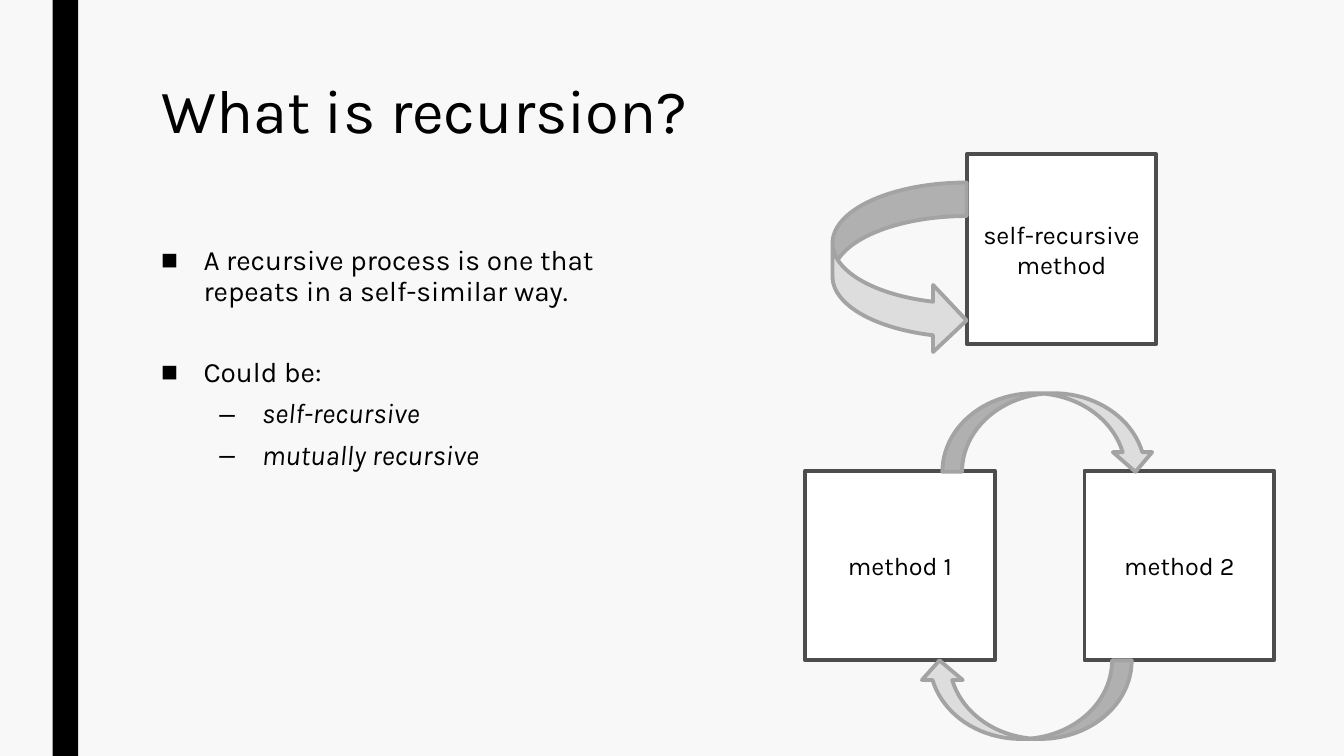
from collections import namedtuple

from lxml import etree
from pptx import Presentation
from pptx.dml.color import RGBColor
from pptx.enum.shapes import MSO_SHAPE as Shape
from pptx.enum.text import MSO_ANCHOR as Anchor, PP_ALIGN as Align
from pptx.oxml.ns import qn
from pptx.util import Cm, Pt

BLACK = RGBColor(0x00, 0x00, 0x00)
WHITE = RGBColor(0xFF, 0xFF, 0xFF)
PAPER = RGBColor(0xF8, 0xF8, 0xF8)
SQUARE_LINE = RGBColor(0x4D, 0x4D, 0x4D)
ARROW_FILL = RGBColor(0xDD, 0xDD, 0xDD)
ARROW_LINE = RGBColor(0xA3, 0xA3, 0xA3)

FONT = "Karla"
SQUARE_SIDE = 4.78
LOOP_WIDTH, LOOP_HEIGHT = 3.38, 4.32
ARC_WIDTH, ARC_HEIGHT = 5.36, 1.98

Box = namedtuple("Box", "left top width height")
Level = namedtuple("Level", "bullet margin before italic")

POINT = Level("■", 1.07, 10, False)
SUBPOINT = Level("–", 2.54, 5, True)
HANGING = 1.07
BULLETS = [
    ("A recursive process is one that repeats in a self-similar way.", POINT, 25),
    ("Could be:", POINT, 2),
    ("self-recursive", SUBPOINT, 2),
    ("mutually recursive", SUBPOINT, 2),
]


def to_lengths(box):
    """Return the four measures of a box as Cm lengths."""
    return [Cm(value) for value in box]


def add_run(paragraph, text, size, italic=False):
    """Add one run in the slide's font and text colour."""
    run = paragraph.add_run()
    run.text = text
    run.font.name = FONT
    run.font.size = Pt(size)
    run.font.italic = italic
    run.font.color.rgb = BLACK


def add_filled_shape(slide, kind, box, fill, line=None):
    """Add a flat shape with a plain fill and an optional outline."""
    shape = slide.shapes.add_shape(kind, *to_lengths(box))
    shape.shadow.inherit = False
    shape.fill.solid()
    shape.fill.fore_color.rgb = fill
    if line is None:
        shape.line.fill.background()
    else:
        shape.line.color.rgb = line
        shape.line.width = Pt(2.75)
    return shape


def add_text_frame(slide, box):
    """Add a wrapping text box and return its text frame."""
    frame = slide.shapes.add_textbox(*to_lengths(box)).text_frame
    frame.word_wrap = True
    return frame


def set_bullet(paragraph, level):
    """Give a paragraph its bullet sign and hanging indent."""
    properties = paragraph._p.get_or_add_pPr()
    properties.set("marL", str(Cm(level.margin)))
    properties.set("indent", str(-Cm(HANGING)))
    etree.SubElement(properties, qn("a:buFont")).set("typeface", "Arial")
    etree.SubElement(properties, qn("a:buChar")).set("char", level.bullet)


def add_title(slide, box):
    """Write the slide title at the top of its box."""
    paragraph = add_text_frame(slide, box).paragraphs[0]
    paragraph.line_spacing = 0.89
    add_run(paragraph, "What is recursion?", 44)


def add_bullets(slide, box):
    """Write the two-level bullet list."""
    frame = add_text_frame(slide, box)
    for index, (text, level, after) in enumerate(BULLETS):
        paragraph = frame.add_paragraph() if index else frame.paragraphs[0]
        paragraph.level = int(level is SUBPOINT)
        paragraph.line_spacing = 0.94
        paragraph.space_before = Pt(level.before)
        paragraph.space_after = Pt(after)
        set_bullet(paragraph, level)
        add_run(paragraph, text, 20, level.italic)


def add_method(slide, left, top, name):
    """Add a square that stands for one method."""
    box = Box(left, top, SQUARE_SIDE, SQUARE_SIDE)
    square = add_filled_shape(slide, Shape.RECTANGLE, box, WHITE, SQUARE_LINE)
    frame = square.text_frame
    frame.word_wrap = True
    frame.vertical_anchor = Anchor.MIDDLE
    paragraph = frame.paragraphs[0]
    paragraph.alignment = Align.CENTER
    add_run(paragraph, name, 18)


def add_self_recursion(slide, box):
    """Draw a method with an arrow that leads back to itself."""
    add_method(slide, box.left + LOOP_WIDTH, box.top, "self-recursive method")
    loop = Box(box.left, box.top + 0.71, LOOP_WIDTH, LOOP_HEIGHT)
    add_filled_shape(slide, Shape.CURVED_RIGHT_ARROW, loop, ARROW_FILL, ARROW_LINE)


def add_mutual_recursion(slide, box):
    """Draw two methods that call each other."""
    square_top = box.top + ARC_HEIGHT - 0.03
    add_method(slide, box.left, square_top, "method 1")
    add_method(slide, box.left + box.width - SQUARE_SIDE, square_top, "method 2")
    call_top = box.top
    return_top = box.top + box.height - ARC_HEIGHT
    for offset, top, rotation in ((3.46, call_top, 0), (2.87, return_top, 180)):
        arc = Box(box.left + offset, top, ARC_WIDTH, ARC_HEIGHT)
        arrow = add_filled_shape(
            slide, Shape.CURVED_DOWN_ARROW, arc, ARROW_FILL, ARROW_LINE)
        arrow.rotation = rotation
        if rotation:
            arrow.adjustments[1] = 0.52


def main():
    """Build the slide and save it."""
    presentation = Presentation()
    presentation.slide_width = Cm(33.87)
    presentation.slide_height = Cm(19.05)
    slide = presentation.slides.add_slide(presentation.slide_layouts[6])
    slide.background.fill.solid()
    slide.background.fill.fore_color.rgb = PAPER
    add_filled_shape(slide, Shape.RECTANGLE, Box(1.33, 0, 0.64, 19.05), BLACK)
    add_title(slide, Box(3.81, 1.91, 26.67, 4.11))
    add_bullets(slide, Box(3.81, 6.05, 11.43, 9.8))
    add_self_recursion(slide, Box(20.98, 3.89, 8.16, 5.03))
    add_mutual_recursion(slide, Box(20.29, 9.91, 11.82, 8.71))
    presentation.save("out.pptx")


if __name__ == "__main__":
    main()
